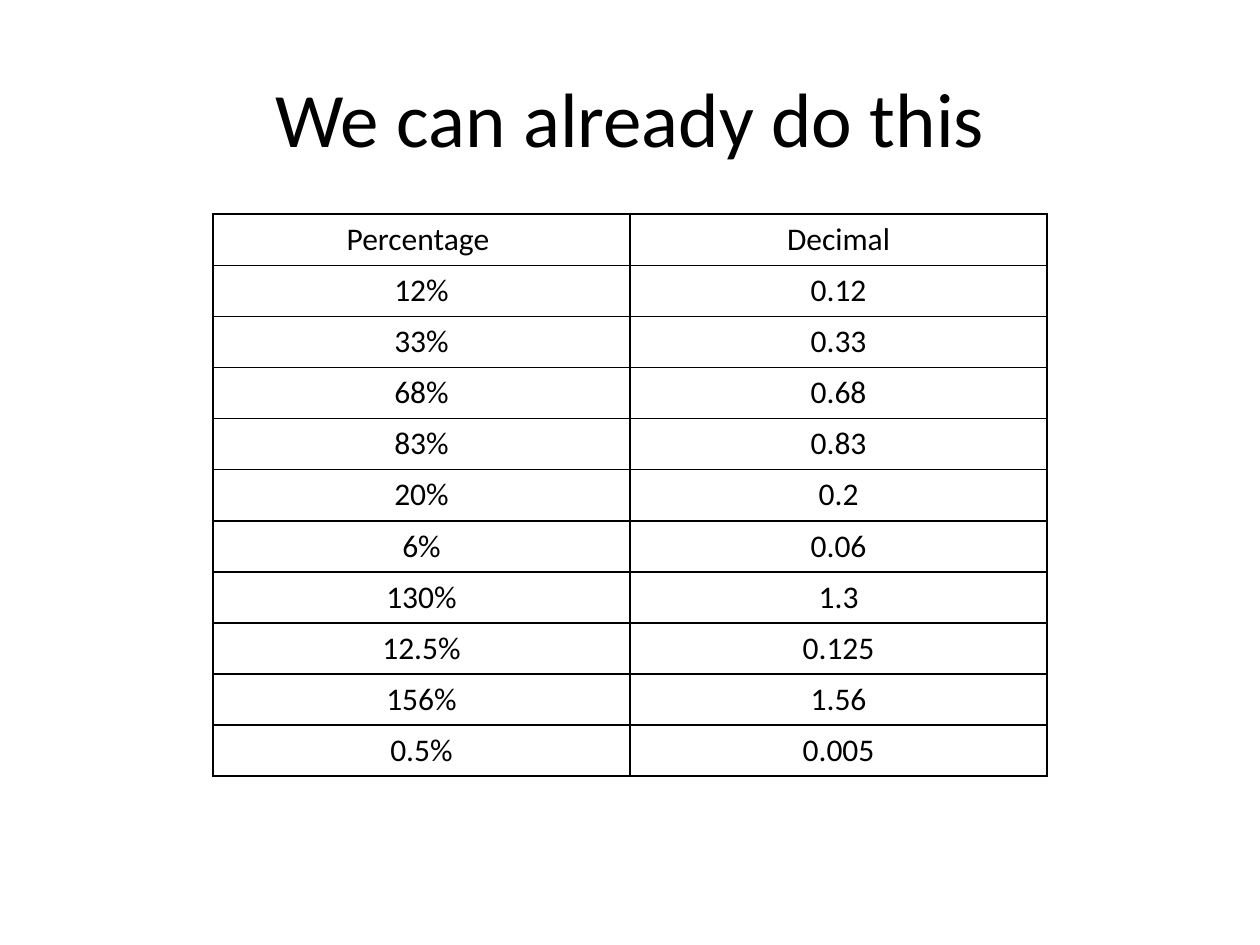
"""Build a slide with a table of percentages and their decimals."""
from lxml import etree
from pptx import Presentation
from pptx.dml.color import RGBColor
from pptx.enum import text
from pptx.oxml import ns
from pptx.util import Inches, Pt

HEADING = "We can already do this"
CONVERSIONS = [
    ("Percentage ", "Decimal"),
    ("12%", "0.12"),
    ("33%", "0.33"),
    ("68%", "0.68"),
    ("83%", "0.83"),
    ("20%", "0.2"),
    ("6%", "0.06"),
    ("130%", "1.3"),
    ("12.5%", "0.125"),
    ("156%", "1.56"),
    ("0.5%", "0.005"),
]
BLACK = RGBColor(0, 0, 0)
COLUMN_WIDTH = 3.31
ROW_HEIGHT = 0.4


def write(frame, words, size):
    paragraph = frame.paragraphs[0]
    paragraph.alignment = text.PP_ALIGN.CENTER
    run = paragraph.add_run()
    run.text = words
    run.font.name = "Calibri"
    run.font.size = Pt(size)
    run.font.color.rgb = BLACK


def add_borders(cell):
    properties = cell._tc.get_or_add_tcPr()
    for side in ("a:lnL", "a:lnR", "a:lnT", "a:lnB"):
        border = etree.SubElement(properties, ns.qn(side), w=str(Pt(1)))
        fill = etree.SubElement(border, ns.qn("a:solidFill"))
        etree.SubElement(fill, ns.qn("a:srgbClr"), val=str(BLACK))


def main():
    deck = Presentation()
    deck.slide_width, deck.slide_height = Inches(10), Inches(7.5)
    slide = deck.slides.add_slide(deck.slide_layouts[6])

    row_count, column_count = len(CONVERSIONS), len(CONVERSIONS[0])
    table = slide.shapes.add_table(
        row_count, column_count, Inches(1.69), Inches(1.7),
        Inches(COLUMN_WIDTH * column_count), Inches(ROW_HEIGHT * row_count),
    ).table
    table.first_row = table.horz_banding = False
    for row, values in enumerate(CONVERSIONS):
        for column, value in enumerate(values):
            cell = table.cell(row, column)
            add_borders(cell)
            cell.fill.background()
            write(cell.text_frame, value, 18)

    heading = slide.shapes.add_textbox(Inches(0.5), Inches(0.3), Inches(9), Inches(1.25)).text_frame
    heading.word_wrap = True
    heading.vertical_anchor = text.MSO_ANCHOR.MIDDLE
    write(heading, HEADING, 44)

    deck.save("out.pptx")


if __name__ == "__main__":
    main()
